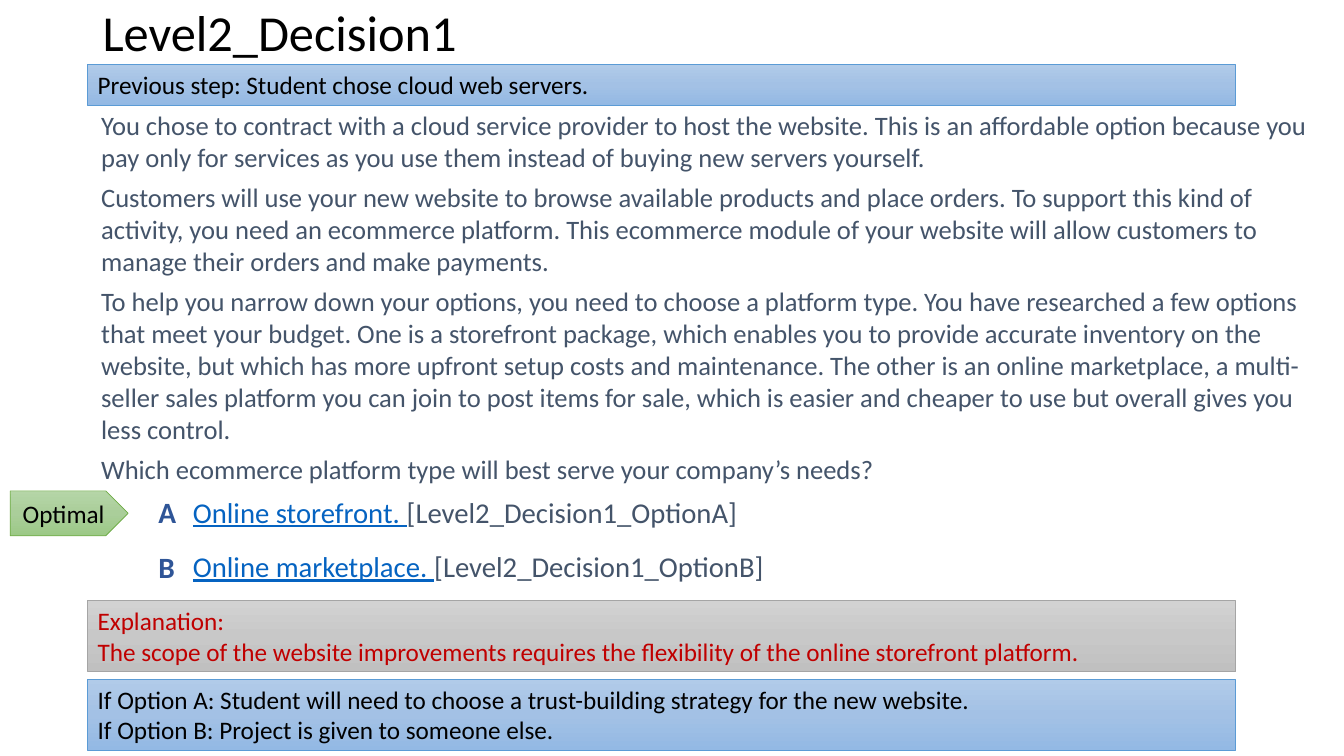
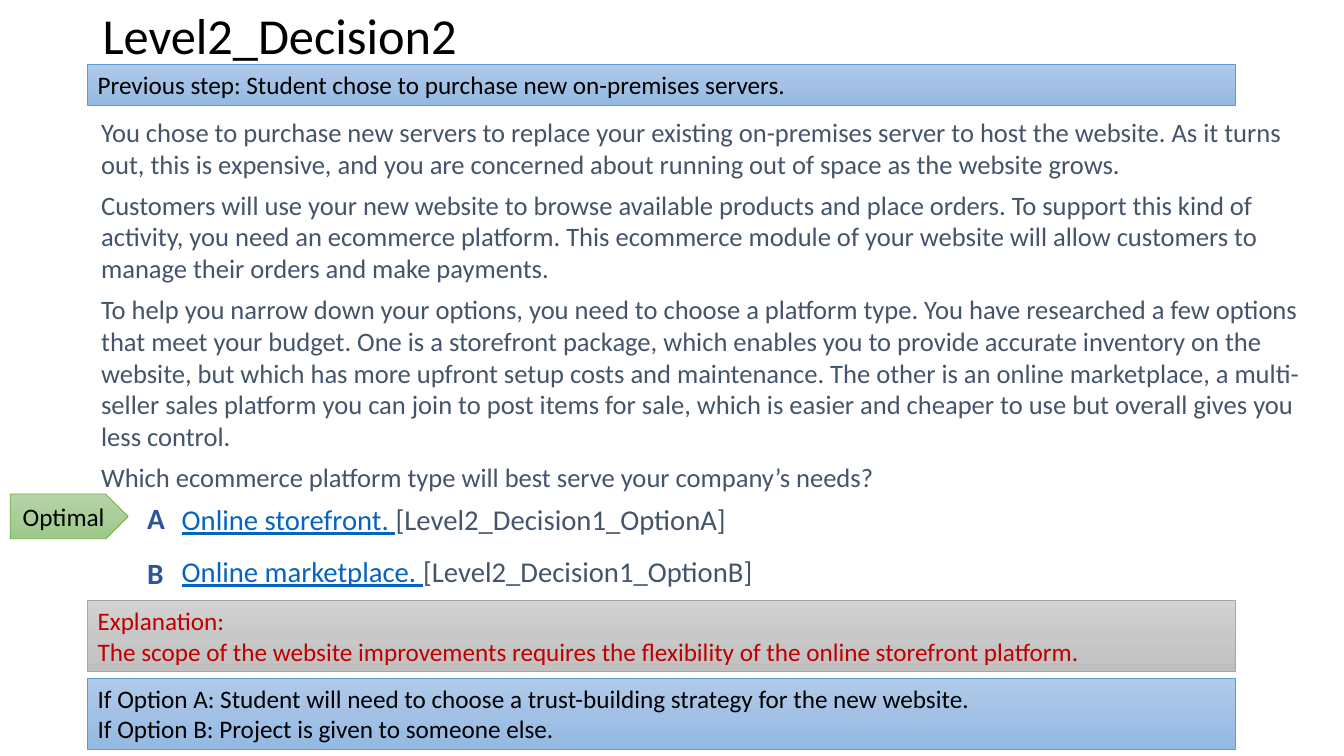
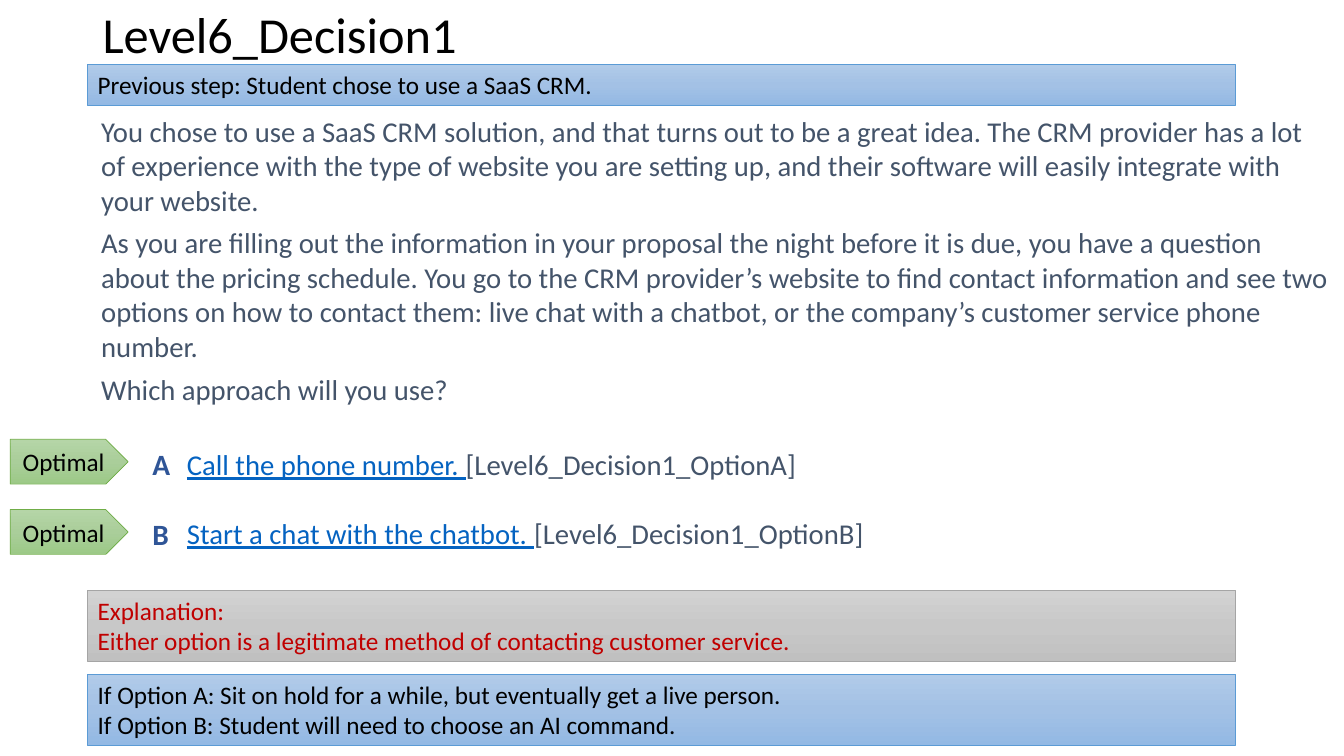
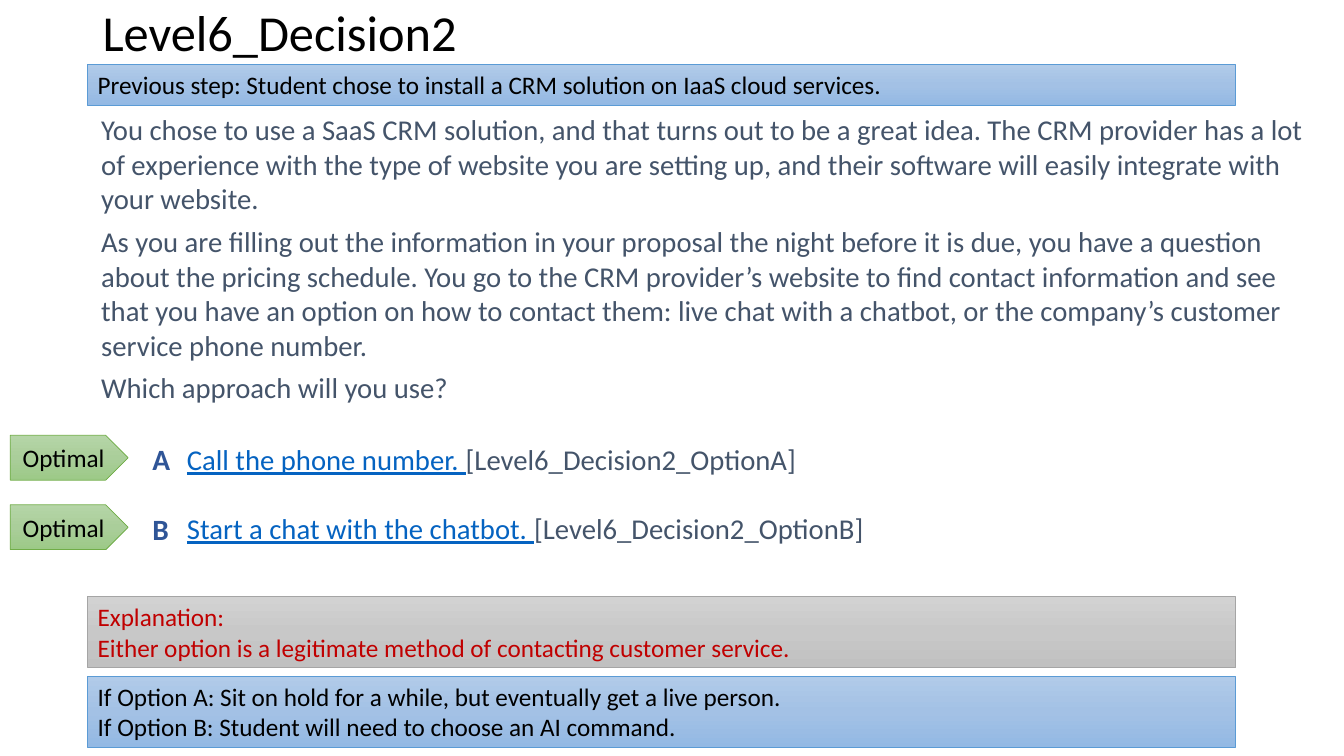
from copy import deepcopy
from dataclasses import dataclass

from pptx import Presentation
from pptx.dml.color import RGBColor
from pptx.enum.shapes import MSO_SHAPE
from pptx.enum.text import MSO_ANCHOR, MSO_AUTO_SIZE, PP_ALIGN
from pptx.oxml.ns import qn
from pptx.util import Cm, Pt


@dataclass(frozen=True)
class Theme:
    font: str = "Calibri"
    black: str = "000000"
    body: str = "44546A"
    link: str = "0563C1"
    letter: str = "2F5597"
    alert: str = "C00000"
    blue: tuple = ("B1CBE9", "A3C1E5", "93B9E4", "5B9BD5")
    grey: tuple = ("D2D2D2", "C8C8C8", "C0C0C0", "A5A5A5")
    green: tuple = ("B5D5A7", "AACE9A", "9CC987", "70AD47")
    title_size: float = 36
    letter_size: float = 21
    option_size: float = 20.5
    long_story_size: float = 19
    short_story_size: float = 20.5
    band_size: float = 18


THEME = Theme()
BAND_LEFT, BAND_WIDTH = 2.21, 28.93
ONE_LINE, TWO_LINES = 1.03, 1.79
TEXT_INSETS = {"margin_left": Cm(0.34), "margin_right": Cm(0.34),
               "margin_top": Cm(0.17), "margin_bottom": Cm(0.17)}

PLATFORM_STORY = [
    "Customers will use your new website to browse available products and place orders. To support this kind of activity, you need an ecommerce platform. This ecommerce module of your website will allow customers to manage their orders and make payments.",
    "To help you narrow down your options, you need to choose a platform type. You have researched a few options that meet your budget. One is a storefront package, which enables you to provide accurate inventory on the website, but which has more upfront setup costs and maintenance. The other is an online marketplace, a multi-seller sales platform you can join to post items for sale, which is easier and cheaper to use but overall gives you less control.",
    "Which ecommerce platform type will best serve your company’s needs?",
]
PLATFORM = {
    "options": ["Online storefront. ", "Online marketplace. "],
    "option_codes": "Level2_Decision1",
    "optimal": "A",
    "explanation": "The scope of the website improvements requires the flexibility of the online storefront platform.",
    "outcomes": ["Student will need to choose a trust-building strategy for the new website.",
                 "Project is given to someone else."],
    "body_size": THEME.long_story_size,
}
CRM_INTRO = "You chose to use a SaaS CRM solution, and that turns out to be a great idea. The CRM provider has a lot of experience with the type of website you are setting up, and their software will easily integrate with your website."
CRM_QUESTION = "As you are filling out the information in your proposal the night before it is due, you have a question about the pricing schedule. You go to the CRM provider’s website to find contact information and see {} on how to contact them: live chat with a chatbot, or the company’s customer service phone number."
APPROACH = "Which approach will you use?"
CONTACT = {
    "options": ["Call the phone number. ", "Start a chat with the chatbot. "],
    "optimal": "AB",
    "explanation": "Either option is a legitimate method of contacting customer service.",
    "outcomes": ["Sit on hold for a while, but eventually get a live person.",
                 "Student will need to choose an AI command."],
    "body_size": THEME.short_story_size,
}

# Positions are in centimetres; option_gap is in points.
DECISIONS = [
    PLATFORM | {
        "title": "Level2_Decision1",
        "previous": "Student chose cloud web servers.",
        "story": ["You chose to contract with a cloud service provider to host the website. This is an affordable option because you pay only for services as you use them instead of buying new servers yourself.",
                  *PLATFORM_STORY],
        "title_top": 0, "body_top": 2.57, "body_height": 9.83,
        "options_at": (4.52, 12.29, 24.13, 3), "option_gap": 14,
        "letter_top": 12.27, "letter_step": 1.4, "badge_top": 12.37,
        "explanation_top": 15.14, "outcomes_top": 17.12,
    },
    PLATFORM | {
        "title": "Level2_Decision2",
        "previous": "Student chose to purchase new on-premises servers.",
        "story": ["You chose to purchase new servers to replace your existing on-premises server to host the website. As it turns out, this is expensive, and you are concerned about running out of space as the website grows.",
                  *PLATFORM_STORY],
        "title_top": 0.06, "body_top": 2.76, "body_height": 10.95,
        "options_at": (4.24, 12.47, 16.81, 2.87), "option_gap": 13,
        "letter_top": 12.42, "letter_step": 1.4, "badge_top": 12.45,
        "explanation_top": 15.14, "outcomes_top": 17.09,
    },
    CONTACT | {
        "title": "Level6_Decision1",
        "option_codes": "Level6_Decision1",
        "previous": "Student chose to use a SaaS CRM.",
        "story": [CRM_INTRO, CRM_QUESTION.format("two options"), APPROACH],
        "title_top": 0.05, "body_top": 2.69, "body_height": 7.67,
        "options_at": (4.37, 11.1, 29.49, 3.23), "option_gap": 24.5,
        "letter_top": 11.07, "letter_step": 1.77, "badge_top": 11.07,
        "explanation_top": 14.88, "outcomes_top": 16.99,
    },
    CONTACT | {
        "title": "Level6_Decision2",
        "option_codes": "Level6_Decision2",
        "previous": "Student chose to install a CRM solution on IaaS cloud services.",
        "story": [CRM_INTRO, CRM_QUESTION.format("that you have an option"), APPROACH],
        "title_top": 0, "body_top": 2.66, "body_height": 7.65,
        "options_at": (4.37, 10.97, 29.49, 3.2), "option_gap": 24.5,
        "letter_top": 10.95, "letter_step": 1.75, "badge_top": 10.97,
        "explanation_top": 15.04, "outcomes_top": 17.04,
    },
]


def set_all(target, values):
    for name, value in values.items():
        setattr(target, name, value)


def write(frame, paragraphs, size, **paragraph_format):
    """Fill a frame; each paragraph is a list of (text, colour, font extras)."""
    for index, runs in enumerate(paragraphs):
        paragraph = frame.paragraphs[0] if index == 0 else frame.add_paragraph()
        set_all(paragraph, paragraph_format)
        for text, colour, extras in runs:
            run = paragraph.add_run()
            run.text = text
            set_all(run.font, {"name": THEME.font, "size": Pt(size)} | extras)
            run.font.color.rgb = RGBColor.from_string(colour)


def add_text(slide, place, paragraphs, size, **paragraph_format):
    frame = slide.shapes.add_textbox(*map(Cm, place)).text_frame
    set_all(frame, TEXT_INSETS | {"word_wrap": True})
    write(frame, paragraphs, size, **paragraph_format)
    return frame


def add_panel(slide, place, lines, palette, colour=THEME.black, preset=MSO_SHAPE.RECTANGLE,
              align=PP_ALIGN.LEFT, anchor=MSO_ANCHOR.TOP):
    panel = slide.shapes.add_shape(preset, *map(Cm, place))
    panel.shadow.inherit = False
    panel.fill.gradient()
    panel.fill.gradient_angle = 270
    first_stop = panel._element.spPr.find(".//" + qn("a:gs"))
    first_stop.addnext(deepcopy(first_stop))
    *shades, edge = palette
    for index, (stop, shade) in enumerate(zip(panel.fill.gradient_stops, shades)):
        stop.position = index / 2
        stop.color.rgb = RGBColor.from_string(shade)
    panel.line.color.rgb = RGBColor.from_string(edge)
    panel.line.width = Pt(0.5)
    set_all(panel.text_frame, {"word_wrap": True, "vertical_anchor": anchor})
    write(panel.text_frame, [[(line, colour, {})] for line in lines],
          THEME.band_size, alignment=align)


def add_band(slide, top, height, lines, palette, colour=THEME.black):
    add_panel(slide, (BAND_LEFT, top, BAND_WIDTH, height), lines, palette, colour)


def add_title(slide, text, top):
    title = slide.shapes.title
    set_all(title, {"left": Cm(2.33), "top": Cm(top), "width": Cm(29.21), "height": Cm(1.78)})
    set_all(title.text_frame, {"vertical_anchor": MSO_ANCHOR.MIDDLE, "word_wrap": True,
                               "auto_size": MSO_AUTO_SIZE.NONE})
    write(title.text_frame, [[(text, THEME.black, {})]], THEME.title_size,
          alignment=PP_ALIGN.LEFT, line_spacing=0.9)


def add_options(slide, decision):
    rows = [[(option, THEME.link, {"underline": True}),
             (f"[{decision['option_codes']}_Option{letter}]", THEME.body, {})]
            for letter, option in zip("AB", decision["options"])]
    options = add_text(slide, decision["options_at"], rows, THEME.option_size)
    options.paragraphs[1].space_before = Pt(decision["option_gap"])
    for index, letter in enumerate("AB"):
        offset = index * decision["letter_step"]
        add_text(slide, (decision["options_at"][0] - 0.87, decision["letter_top"] + offset, 1.75, 1.13),
                 [[(letter, THEME.letter, {"bold": True})]], THEME.letter_size)
        if letter in decision["optimal"]:
            add_panel(slide, (0.26, decision["badge_top"] + offset, 2.97, 1.13), ["Optimal"],
                      THEME.green, preset=MSO_SHAPE.PENTAGON,
                      align=PP_ALIGN.CENTER, anchor=MSO_ANCHOR.MIDDLE)


def add_decision(deck, decision):
    slide = deck.slides.add_slide(deck.slide_layouts[5])
    add_title(slide, decision["title"], decision["title_top"])
    add_text(slide, (BAND_LEFT, decision["body_top"], 31.65, decision["body_height"]),
             [[(text, THEME.body, {})] for text in decision["story"]],
             decision["body_size"], space_after=Pt(6))
    add_options(slide, decision)
    add_band(slide, decision["explanation_top"], TWO_LINES,
             ["Explanation:", decision["explanation"]], THEME.grey, THEME.alert)
    add_band(slide, decision["outcomes_top"], TWO_LINES,
             [f"If Option {letter}: {outcome}" for letter, outcome in zip("AB", decision["outcomes"])],
             THEME.blue)
    add_band(slide, 1.63, ONE_LINE, [f"Previous step: {decision['previous']}"], THEME.blue)


def main():
    deck = Presentation()
    set_all(deck, {"slide_width": Cm(33.87), "slide_height": Cm(19.05)})
    for decision in DECISIONS:
        add_decision(deck, decision)
    deck.save("out.pptx")


if __name__ == "__main__":
    main()
